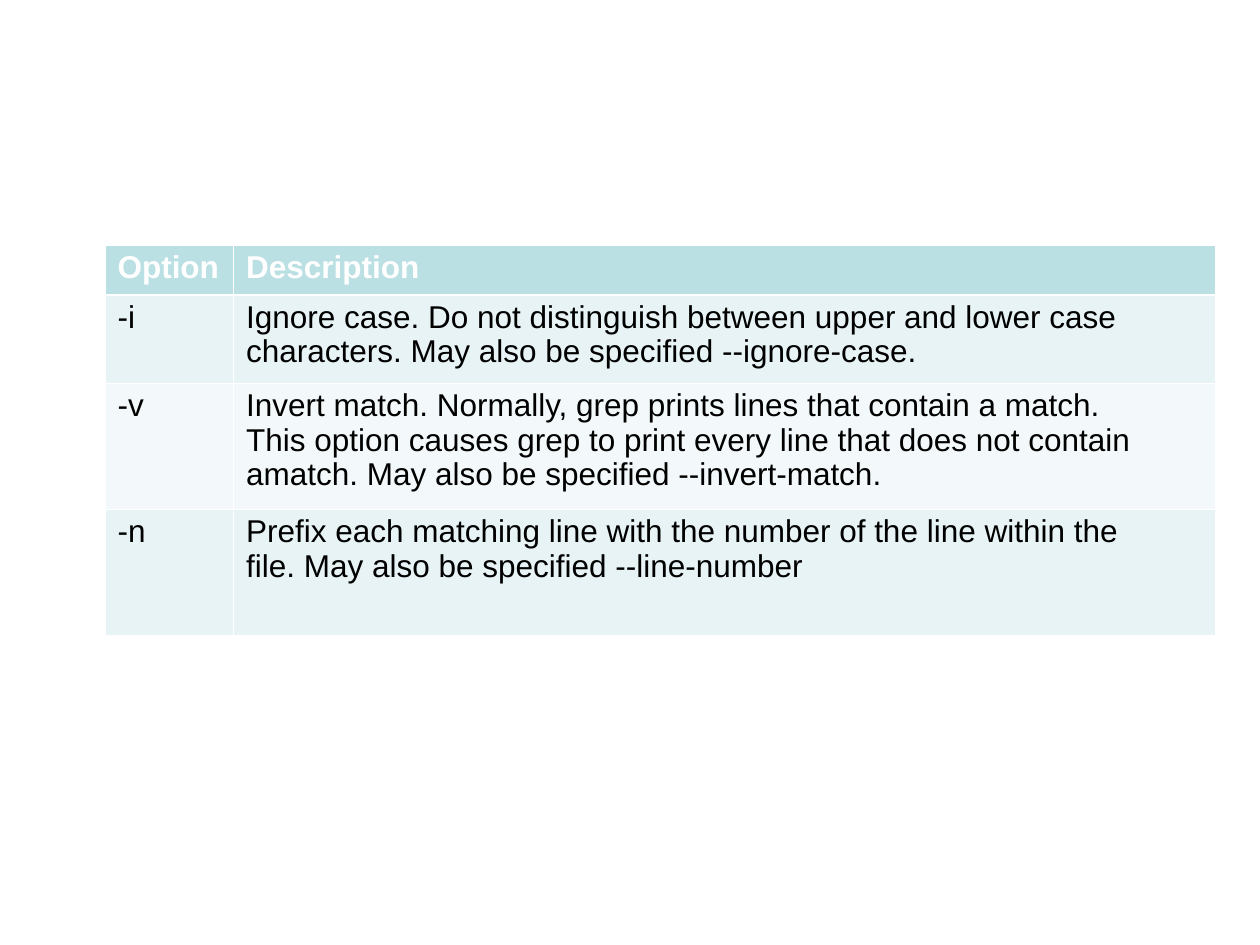
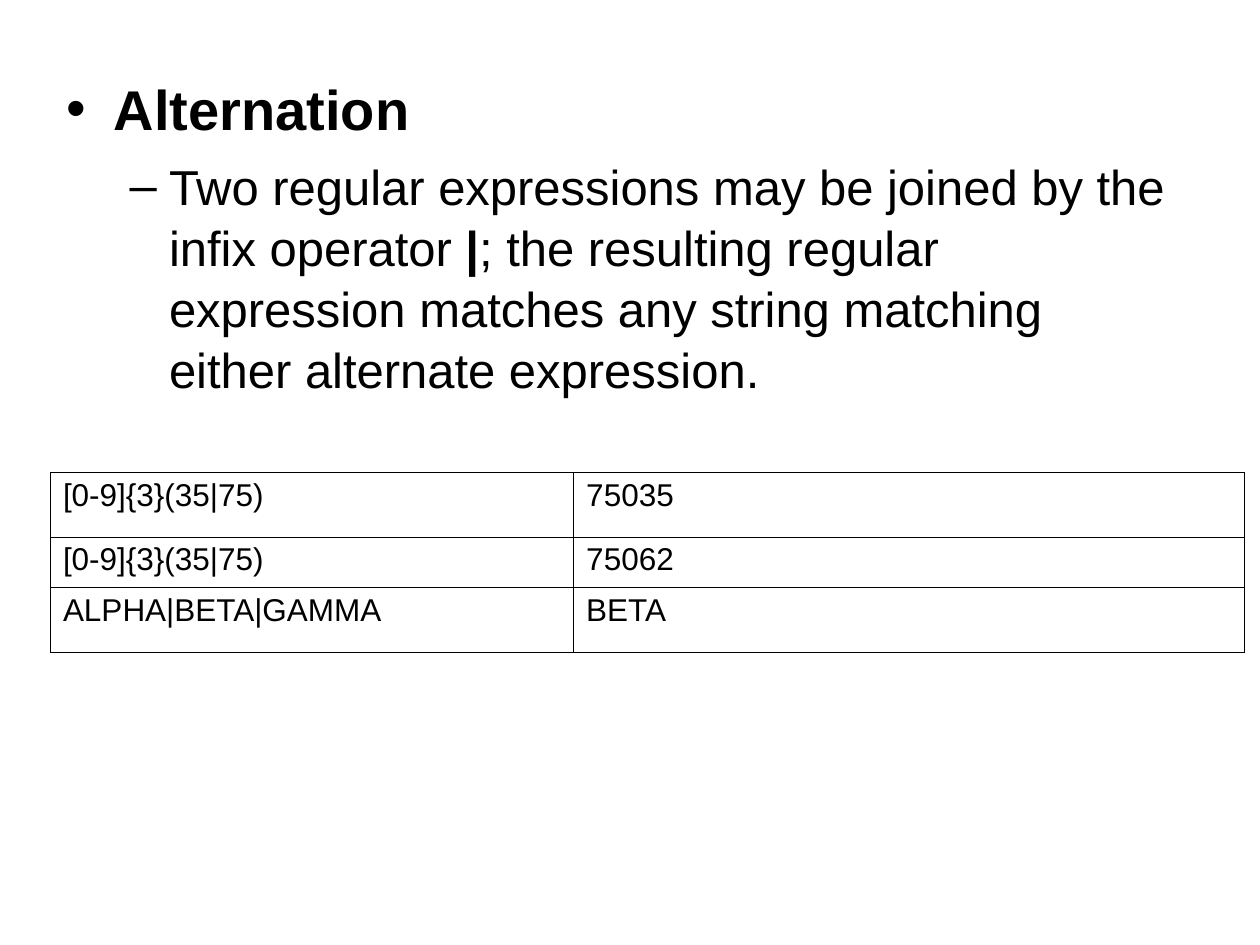
from lxml.etree import SubElement
from pptx import Presentation
from pptx.dml.color import RGBColor
from pptx.oxml.ns import qn
from pptx.util import Pt

BLACK = RGBColor(0x00, 0x00, 0x00)
WHITE = RGBColor(0xFF, 0xFF, 0xFF)
HEADER = RGBColor(0xBB, 0xE0, 0xE3)
BAND_DARK = RGBColor(0xE7, 0xF3, 0xF4)
BAND_LIGHT = RGBColor(0xF3, 0xF9, 0xFA)

OPTIONS = [
    ("Option", "Description"),
    ("-i", "Ignore case. Do not distinguish between upper and lower case\n"
           "characters. May also be specified --ignore-case."),
    ("-v", "Invert match. Normally, grep prints lines that contain a match.\n"
           "This option causes grep to print every line that does not contain "
           "amatch. May also be specified --invert-match."),
    ("-n", "Prefix each matching line with the number of the line within the\n"
           "file. May also be specified --line-number"),
]
MATCHES = [
    ("[0-9]{3}(35|75)", "75035"),
    ("[0-9]{3}(35|75)", "75062"),
    ("ALPHA|BETA|GAMMA", "BETA"),
]
ALTERNATION = [
    ("•", 32, 27, -27, 0, [("Alternation", True)]),
    ("–", 28, 58.5, -22.5, 7, [
        ("Two regular expressions may be joined by the infix operator ", False),
        ("|", True),
        ("; the resulting regular expression matches any string matching "
         "either alternate expression.", False),
    ]),
]


class Deck:
    """Holds the shared style and the current slide."""

    font = "Arial"
    cell_size = 18
    thin, thick = 0.45, 1.47

    def __init__(self):
        self.prs = Presentation()
        self.prs.slide_width, self.prs.slide_height = Pt(720), Pt(540)
        self.s = None

    def slide(self):
        """Start a blank slide."""
        self.s = self.prs.slides.add_slide(self.prs.slide_layouts[6])

    def run(self, p, text, size, color=BLACK, bold=False):
        """Add one styled run to a paragraph."""
        r = p.add_run()
        r.text = text
        r.font.name, r.font.size, r.font.bold = self.font, Pt(size), bold
        r.font.color.rgb = color

    def bullet(self, p, char, left, indent):
        """Give a paragraph a bullet and a hanging indent."""
        pPr = p._p.get_or_add_pPr()
        pPr.set("marL", str(Pt(left)))
        pPr.set("indent", str(Pt(indent)))
        SubElement(pPr, qn("a:buFont"), typeface=self.font)
        SubElement(pPr, qn("a:buChar"), char=char)

    def bullets(self, x, y, w, h, items):
        """Add a text box of bulleted paragraphs."""
        tf = self.s.shapes.add_textbox(Pt(x), Pt(y), Pt(w), Pt(h)).text_frame
        tf.word_wrap = True
        for i, (char, size, left, indent, before, runs) in enumerate(items):
            p = tf.add_paragraph() if i else tf.paragraphs[0]
            self.bullet(p, char, left, indent)
            p.space_before, p.line_spacing = Pt(before), 1.04
            for text, bold in runs:
                self.run(p, text, size, bold=bold)

    def border(self, cell, side, color, width):
        """Draw one side of a cell."""
        ln = SubElement(cell._tc.get_or_add_tcPr(), qn(f"a:ln{side}"), w=str(Pt(width)))
        fill = SubElement(ln, qn("a:solidFill"))
        SubElement(fill, qn("a:srgbClr"), val=str(color))

    def cell(self, cell, text, fill, line, widths, color, bold):
        """Fill, frame and write one cell."""
        for side, width in zip("LRTB", widths):
            self.border(cell, side, line, width)
        if fill is None:
            cell.fill.background()
        else:
            cell.fill.solid()
            cell.fill.fore_color.rgb = fill
        tf = cell.text_frame
        for i, part in enumerate(text.split("\n")):
            p = tf.add_paragraph() if i else tf.paragraphs[0]
            p.line_spacing = 0.97
            self.run(p, part, self.cell_size, color, bold)

    def table(self, x, y, cols, heights, rows, line, bands=None):
        """Add a table, with a header and bands if band colours are given."""
        table = self.s.shapes.add_table(len(rows), len(cols), Pt(x), Pt(y),
                                        Pt(sum(cols)), Pt(sum(heights))).table
        table.first_row = table.horz_banding = bands is not None
        for column, width in zip(table.columns, cols):
            column.width = Pt(width)
        for i, (texts, height) in enumerate(zip(rows, heights)):
            table.rows[i].height = Pt(height)
            head = bands is not None and i == 0
            fill = HEADER if head else bands[(i - 1) % len(bands)] if bands else None
            top = self.thick if bands and i == 1 else self.thin
            widths = (self.thin, self.thin, top, self.thick if head else self.thin)
            for j, text in enumerate(texts):
                self.cell(table.cell(i, j), text, fill, line, widths,
                          WHITE if head else BLACK, head)


def main():
    deck = Deck()
    deck.slide()
    deck.table(60, 140, (73.5, 561), (28.5, 50.5, 72, 72), OPTIONS, WHITE,
               (BAND_DARK, BAND_LIGHT))
    deck.slide()
    deck.bullets(31, 37.5, 648, 356.5, ALTERNATION)
    deck.table(28.8, 270, (299, 383), (37, 28.8, 37), MATCHES, BLACK)
    deck.prs.save("out.pptx")


if __name__ == "__main__":
    main()
